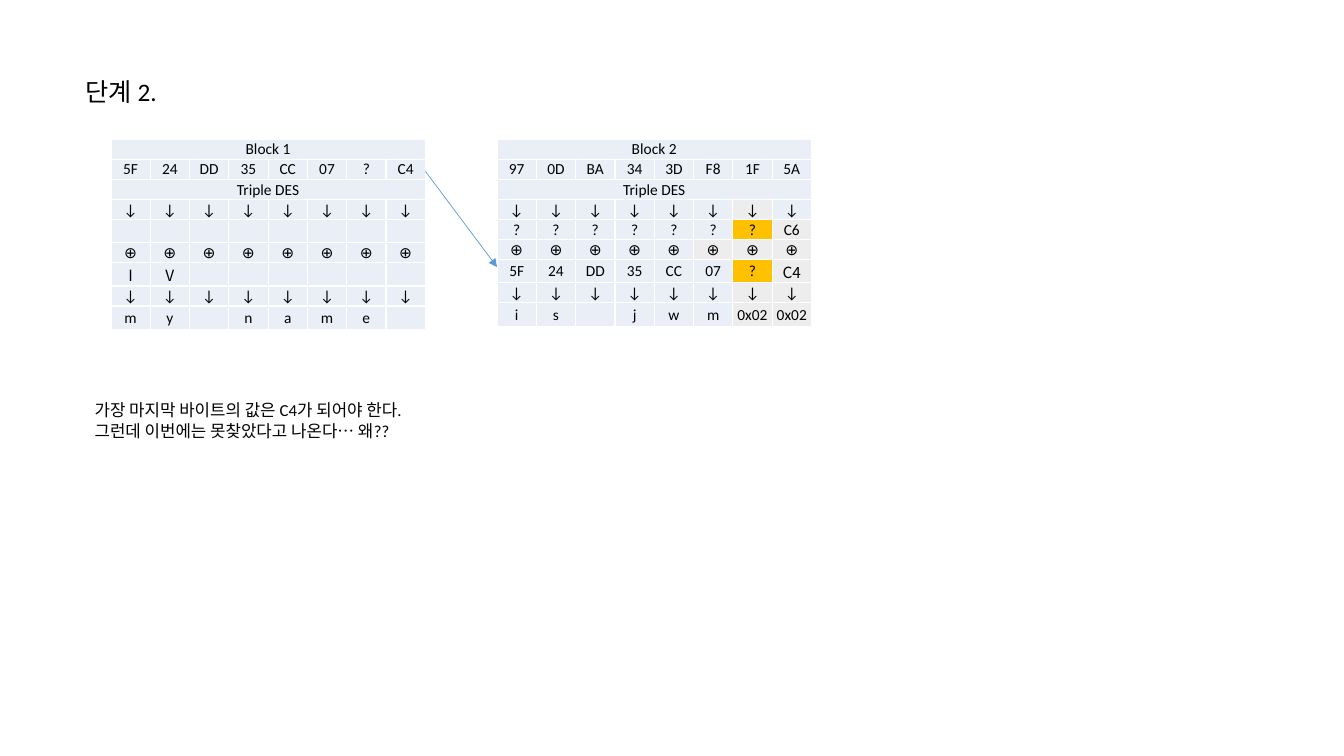
from pptx import Presentation
from pptx import util as u
from pptx.dml.color import RGBColor
from pptx.enum import shapes, text
from pptx.oxml.ns import qn
from lxml import etree

BLACK = RGBColor(0x00, 0x00, 0x00)
PALE_BLUE = RGBColor(0xEA, 0xEF, 0xF7)
GREY = RGBColor(0xED, 0xED, 0xED)
AMBER = RGBColor(0xFF, 0xC0, 0x00)
ARROW_BLUE = RGBColor(0x5B, 0x9B, 0xD5)
LATIN, HANGUL = "Calibri", "Noto Sans CJK JP"

BYTES = 8
COLUMN, ROW, LAST_ROW = 0.39, 0.19, 0.2
BLOCK_TOP = 1.38
DOWN, XOR = ["↓"] * BYTES, ["⊕"] * BYTES
CIPHER_1 = "5F 24 DD 35 CC 07 ? C4".split()

BLOCK_1 = [
    ["Block 1"], CIPHER_1, ["Triple DES"], DOWN, [""] * BYTES, XOR,
    ["I", "V"] + [""] * 6, DOWN, ["m", "y", "", "n", "a", "m", "e", ""],
]
BLOCK_2 = [
    ["Block 2"], "97 0D BA 34 3D F8 1F 5A".split(), ["Triple DES"], DOWN,
    ["?"] * 7 + ["C6"], XOR, CIPHER_1, DOWN,
    ["i", "s", "", "j", "w", "m", "0x02", "0x02"],
]
# (row, column) positions of the cells that stand out
FILLS_2 = {
    **dict.fromkeys([(3, 6), (4, 7), (5, 5), (5, 6), (5, 7), (6, 7),
                     (7, 6), (7, 7), (8, 6), (8, 7)], GREY),
    **dict.fromkeys([(4, 6), (6, 6)], AMBER),
}


def add_span(para, words, size, font=LATIN):
    """Add one black run to a paragraph."""
    span = para.add_run()
    span.text = words
    span.font.size = u.Pt(size)
    span.font.name = font
    span.font.color.rgb = BLACK
    return span


def fill_cell(cell, words, color, font):
    """Write one centred cell; an empty one keeps the small text height."""
    cell.fill.solid()
    cell.fill.fore_color.rgb = color
    cell.vertical_anchor = text.MSO_ANCHOR.MIDDLE
    cell.margin_left = cell.margin_right = cell.margin_top = u.Inches(0.01)
    cell.margin_bottom = 0
    para = cell.text_frame.paragraphs[0]
    para.alignment = text.PP_ALIGN.CENTER
    if words:
        add_span(para, words, 11, font)
    else:
        end = etree.SubElement(para._p, qn("a:endParaRPr"), sz="1100")
        etree.SubElement(end, qn("a:latin"), typeface=font)


def add_block(page, left, rows, fills, wide_cells):
    """Add a cipher block table; a row with one entry spans all columns."""
    height = ROW * (len(rows) - 1) + LAST_ROW
    table = page.shapes.add_table(
        len(rows), BYTES, u.Inches(left), u.Inches(BLOCK_TOP),
        u.Inches(COLUMN * BYTES), u.Inches(height)).table
    table.first_row = table.horz_banding = False
    for column in table.columns:
        column.width = u.Inches(COLUMN)
    for r, entries in enumerate(rows):
        table.rows[r].height = u.Inches(LAST_ROW if r == len(rows) - 1 else ROW)
        if len(entries) == 1:
            table.cell(r, 0).merge(table.cell(r, BYTES - 1))
        for c, words in enumerate(entries):
            font = HANGUL if not words or (r, c) in wide_cells else LATIN
            fill_cell(table.cell(r, c), words, fills.get((r, c), PALE_BLUE), font)


def add_arrow(page, start, end):
    """Add a thin arrow from start to end."""
    arrow = page.shapes.add_connector(
        shapes.MSO_CONNECTOR.STRAIGHT, *map(u.Inches, start + end))
    arrow.line.color.rgb = ARROW_BLUE
    arrow.line.width = u.Pt(0.5)
    etree.SubElement(arrow.line._get_or_add_ln(), qn("a:tailEnd"), type="triangle")
    etree.SubElement(arrow._element.spPr, qn("a:effectLst"))


def add_text(page, left, top, width, height, lines, size):
    """Add a wrapping text box with one paragraph for each line."""
    box = page.shapes.add_textbox(*map(u.Inches, (left, top, width, height)))
    frame = box.text_frame
    frame.word_wrap = True
    frame.auto_size = text.MSO_AUTO_SIZE.SHAPE_TO_FIT_TEXT
    for i, line in enumerate(lines):
        para = frame.add_paragraph() if i else frame.paragraphs[0]
        span = add_span(para, line, size)
        etree.SubElement(span.font._element, qn("a:ea"), typeface=HANGUL)


def main():
    """Build the slide and save the deck."""
    deck = Presentation()
    deck.slide_width, deck.slide_height = u.Inches(13.33), u.Inches(7.5)
    page = deck.slides.add_slide(deck.slide_layouts[6])
    add_block(page, 1.1, BLOCK_1, {}, {(6, 0), (6, 1)})
    add_block(page, 4.93, BLOCK_2, FILLS_2, {(6, 7)})
    add_arrow(page, (4.22, 1.7), (4.93, 2.65))
    add_text(page, 0.75, 0.71, 3.43, 0.4, ["단계 2."], 18)
    add_text(page, 0.84, 3.92, 7.34, 0.5,
             ["가장 마지막 바이트의 값은 C4가 되어야 한다.",
              "그런데 이번에는 못찾았다고 나온다… 왜??"], 12)
    deck.save("out.pptx")


main()
